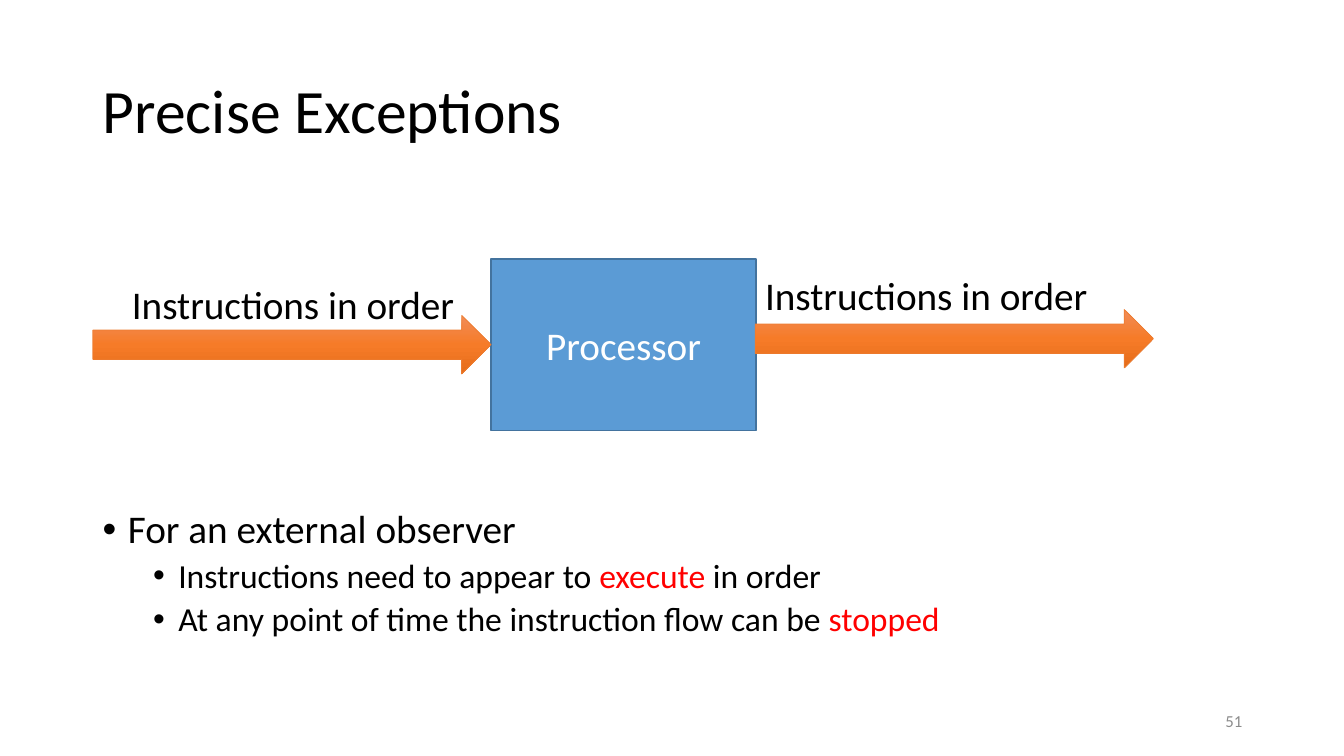
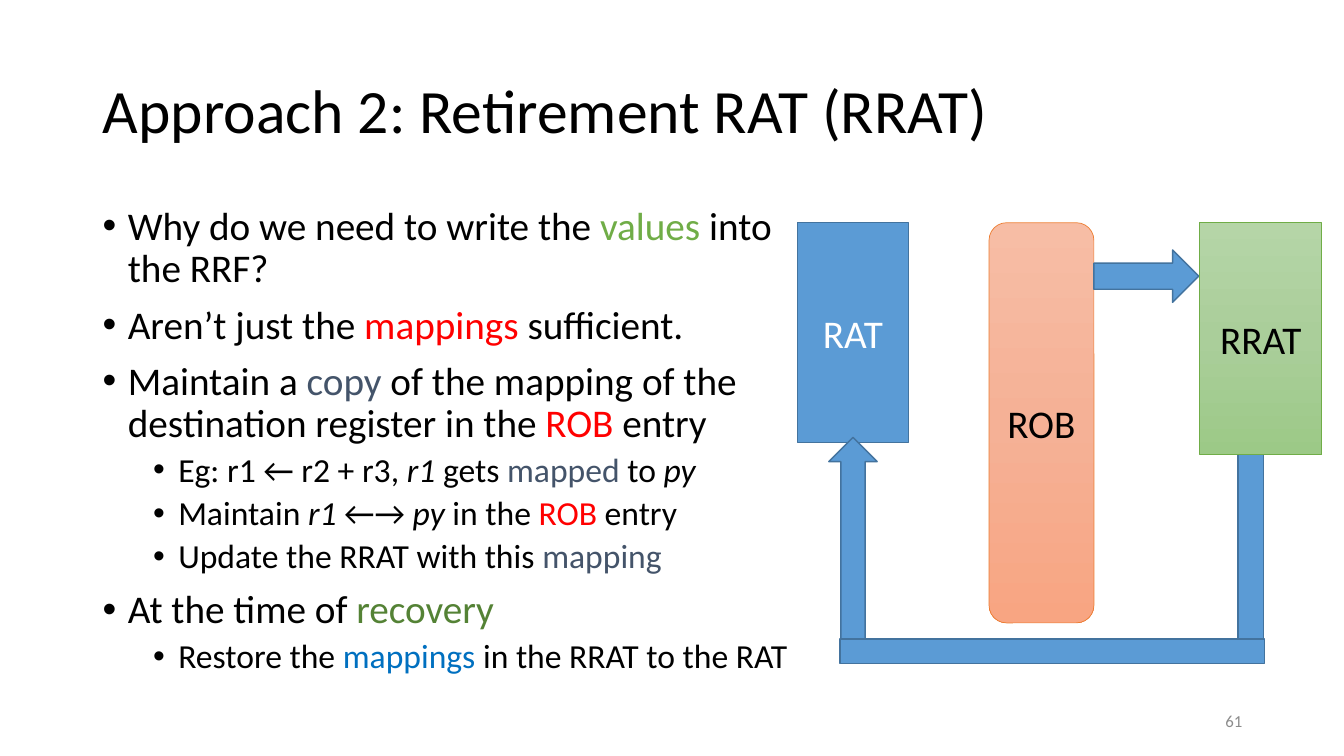
from copy import deepcopy
from dataclasses import dataclass
from typing import NamedTuple

from lxml.etree import SubElement
from pptx import Presentation
from pptx.dml.color import RGBColor
from pptx.enum.shapes import MSO_SHAPE as Form
from pptx.enum.text import MSO_ANCHOR as Anchor, MSO_AUTO_SIZE as Auto, PP_ALIGN as Align
from pptx.oxml.ns import qn
from pptx.util import Inches, Pt

FONT = "Calibri"
BLACK = RGBColor(0x00, 0x00, 0x00)
WHITE = RGBColor(0xFF, 0xFF, 0xFF)
GREY = RGBColor(0x8C, 0x8C, 0x8C)
RED = RGBColor(0xFF, 0x00, 0x00)
GREEN = RGBColor(0x70, 0xAD, 0x47)
DARK = RGBColor(0x54, 0x82, 0x35)
SLATE = RGBColor(0x44, 0x54, 0x6A)
BLUE = RGBColor(0x00, 0x70, 0xC0)
SKY = RGBColor(0x5B, 0x9B, 0xD5)
EDGE = RGBColor(0x43, 0x73, 0x9E)
ORANGE = RGBColor(0xED, 0x7D, 0x31)
FLAME = (RGBColor(0xF1, 0x8C, 0x57), RGBColor(0xF6, 0x7B, 0x28), RGBColor(0xE5, 0x6C, 0x19))
PEACH = (RGBColor(0xF7, 0xBD, 0xA5), RGBColor(0xF5, 0xB1, 0x96), RGBColor(0xF8, 0xA5, 0x82))
LEAF = (RGBColor(0xB5, 0xD5, 0xA7), RGBColor(0xAA, 0xCE, 0x9A), RGBColor(0x9C, 0xC9, 0x87))


class Bit(NamedTuple):
    text: str
    color: RGBColor = BLACK
    italic: bool = False


class Item(NamedTuple):
    level: int
    bits: tuple


class Area(NamedTuple):
    left: float
    top: float
    width: float
    height: float


@dataclass
class Block:
    area: Area
    form: Form = Form.RECTANGLE
    fill: tuple = (SKY,)
    edge: RGBColor = EDGE
    line: float = 1
    text: str = ""
    ink: RGBColor = WHITE
    turn: float = 0


def place(area: Area) -> list:
    return [Inches(n) for n in area]


def write(para, text, size=28, color=BLACK, italic=False, align=Align.LEFT, space=None) -> None:
    para.alignment = align
    if space:
        para.line_spacing = space
    for count, part in enumerate(text.split("\n")):
        if count:
            para.add_line_break()
        run = para.add_run()
        run.text = part
        font = run.font
        font.name, font.size, font.italic = FONT, Pt(size), italic
        font.color.rgb = color


def label(slide, area: Area, text: str, wrap=True, anchor=Anchor.TOP, **style) -> None:
    frame = slide.shapes.add_textbox(*place(area)).text_frame
    frame.word_wrap = wrap
    frame.vertical_anchor = anchor
    write(frame.paragraphs[0], text, **style)


def bullets(slide, area: Area, items: list) -> None:
    frame = slide.shapes.add_textbox(*place(area)).text_frame
    frame.word_wrap = True
    for count, item in enumerate(items):
        para = frame.add_paragraph() if count else frame.paragraphs[0]
        props = para._p.get_or_add_pPr()
        props.set("marL", str(Inches(0.25 + 0.5 * item.level)))
        props.set("indent", str(Inches(-0.25)))
        SubElement(props, qn("a:buFont")).set("typeface", "Arial")
        SubElement(props, qn("a:buChar")).set("char", "•")
        para.level = item.level
        para.space_before = Pt((5 if item.level else 10) if count else 0)
        for bit in item.bits:
            bit = Bit(bit) if isinstance(bit, str) else bit
            write(para, bit.text, size=24 if item.level else 28, color=bit.color,
                  italic=bit.italic, space=0.9)


def shade(shape, tones: tuple) -> None:
    fill = shape.fill
    if len(tones) == 1:
        fill.solid()
        fill.fore_color.rgb = tones[0]
        return
    fill.gradient()
    fill.gradient_angle = 270
    stops = next(shape._element.iter(qn("a:gsLst")))
    while len(stops) < len(tones):
        stops.append(deepcopy(stops[-1]))
    for count, (stop, tone) in enumerate(zip(fill.gradient_stops, tones)):
        stop.color.rgb = tone
        stop.position = count / (len(tones) - 1)


def draw(slide, block: Block) -> None:
    shape = slide.shapes.add_shape(block.form, *place(block.area))
    shape.shadow.inherit = False
    shape.rotation = block.turn
    shade(shape, block.fill)
    shape.line.color.rgb = block.edge
    shape.line.width = Pt(block.line)
    if block.text:
        frame = shape.text_frame
        frame.vertical_anchor = Anchor.MIDDLE
        write(frame.paragraphs[0], block.text, color=block.ink, align=Align.CENTER)


def start(deck, head: str, page: str):
    slide = deck.slides.add_slide(deck.slide_layouts[5])
    title = slide.shapes.title
    title.left, title.top, title.width, title.height = place(Area(0.92, 0.4, 11.5, 1.45))
    frame = title.text_frame
    frame.auto_size = Auto.NONE
    frame.vertical_anchor = Anchor.MIDDLE
    write(frame.paragraphs[0], head, size=44, space=0.9)
    label(slide, Area(9.42, 6.95, 3, 0.4), page, anchor=Anchor.MIDDLE,
          size=12, color=GREY, align=Align.RIGHT)
    return slide


def precise(deck) -> None:
    slide = start(deck, "Precise Exceptions", "51")
    bullets(slide, Area(0.92, 5.01, 11.5, 1.74), [
        Item(0, ("For an external observer",)),
        Item(1, ("Instructions need to appear to ", Bit("execute", RED), " in order")),
        Item(1, ("At any point of time the instruction flow can be ", Bit("stopped", RED))),
    ])
    draw(slide, Block(Area(4.87, 2.57, 2.63, 1.7), text="Processor"))
    for left, top, x, y in ((0.92, 3.13, 1.21, 2.73), (7.49, 3.07, 7.49, 2.64)):
        draw(slide, Block(Area(left, top, 3.95, 0.58), Form.RIGHT_ARROW, FLAME, ORANGE, 0.5))
        label(slide, Area(x, y, 3.44, 0.57), "Instructions in order", wrap=False)


def retire(deck) -> None:
    slide = start(deck, "Approach 2: Retirement RAT (RRAT)", "61")
    bullets(slide, Area(0.92, 2, 9.16, 4.76), [
        Item(0, ("Why do we need to write the ", Bit("values", GREEN), " into\nthe RRF?")),
        Item(0, ("Aren’t just the ", Bit("mappings", RED), " sufficient.")),
        Item(0, ("Maintain a ", Bit("copy", SLATE),
                 " of the mapping of the\ndestination register in the ",
                 Bit("ROB", RED), " entry")),
        Item(1, ("Eg: r1 ← r2 + r3, ", Bit("r1 ", italic=True), "gets ",
                 Bit("mapped", SLATE), " to ", Bit("py", italic=True))),
        Item(1, ("Maintain ", Bit("r1", italic=True), " ←→ ", Bit("py", italic=True),
                 " in the ", Bit("ROB", RED), " entry")),
        Item(1, ("Update the RRAT with this ", Bit("mapping", SLATE))),
        Item(0, ("At the time of ", Bit("recovery", DARK))),
        Item(1, ("Restore the ", Bit("mappings", BLUE), " in the RRAT to the RAT")),
    ])
    for block in (
        Block(Area(9.81, 2.21, 1.04, 3.97), Form.ROUNDED_RECTANGLE, PEACH, ORANGE, 0.5,
              "ROB", BLACK),
        Block(Area(10.85, 2.48, 1.04, 0.52), Form.RIGHT_ARROW),
        Block(Area(7.91, 2.21, 1.1, 2.18), text="RAT"),
        Block(Area(7.34, 5.22, 2.24, 0.48), Form.RIGHT_ARROW, turn=270),
        Block(Area(8.33, 6.34, 4.21, 0.24)),
        Block(Area(12.28, 3.94, 0.25, 2.4)),
        Block(Area(11.9, 2.21, 1.21, 2.3), fill=LEAF, edge=GREEN, line=0.5,
              text="RRAT", ink=BLACK),
    ):
        draw(slide, block)


def main() -> None:
    deck = Presentation()
    deck.slide_width, deck.slide_height = Inches(13.33), Inches(7.5)
    precise(deck)
    retire(deck)
    deck.save("out.pptx")


if __name__ == "__main__":
    main()
